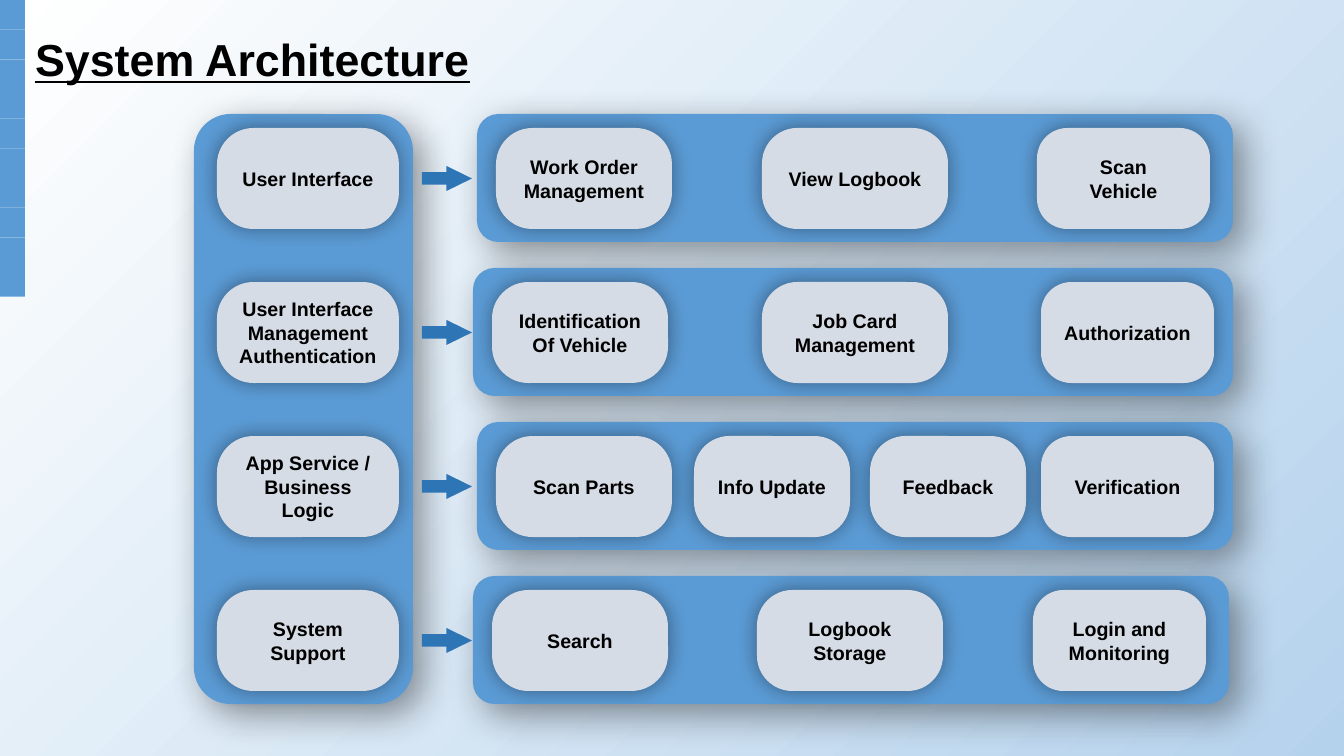
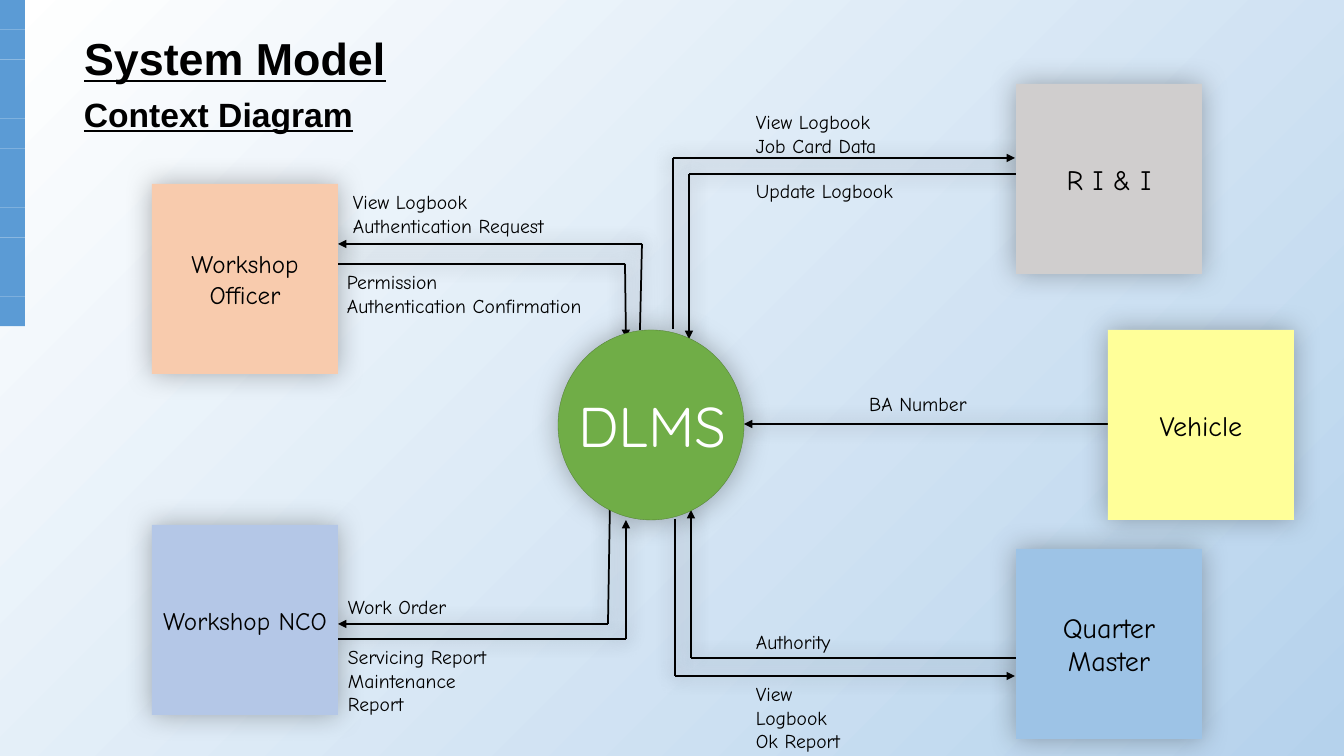
from lxml.etree import SubElement
from pptx import Presentation
from pptx.dml.color import RGBColor
from pptx.enum.shapes import MSO_CONNECTOR, MSO_SHAPE
from pptx.enum.text import MSO_ANCHOR, MSO_AUTO_SIZE, PP_ALIGN
from pptx.oxml.ns import qn
from pptx.util import Emu, Pt

COLORS = {
    "white": "FFFFFF", "black": "000000", "sky": "B5D2EC", "band": "5B9BD5",
    "chip": "D6DCE5", "arrow": "2E75B6", "green": "70AD47", "green edge": "548235",
    "peach": "F8CBAD", "lavender": "B4C7E7", "grey": "D0CECE",
    "yellow": "FFFF99", "blue": "9DC3E6",
}
# opacity in percent, blur and distance in points, direction in degrees
SHADOWS = {
    "panel": (40, 26, 10, 45), "chip": (40, 15, 0, 0),
    "entity": (30, 20, 0, 0), "flow": (50, 13, 0, 0),
}
HEADING = {"font": "Arial", "bold": True, "underline": True}

# layer, panel left, panel width, modules as (label, left)
LAYERS = [
    ("User Interface", 477, 756,
     [("Work Order Management", 496), ("View Logbook", 762), ("Scan\nVehicle", 1037)]),
    ("User Interface Management Authentication", 473, 760,
     [("Identification Of Vehicle", 492), ("Job Card Management", 762),
      ("Authorization", 1041)]),
    ("App Service /\nBusiness Logic", 477, 756,
     [("Scan Parts", 496), ("Info Update", 694), ("Feedback", 870),
      ("Verification", 1041)]),
    ("System Support", 473, 756,
     [("Search", 492), ("Logbook Storage", 757), ("Login and Monitoring", 1033)]),
]
LAYER_TOP, LAYER_STEP, PANEL_HEIGHT = 114, 154, 128
CHIP_HEIGHT, CHIP_OFFSET, ARROW_OFFSET = 101, 14, 52

# name, left, top, colour, text size
ENTITIES = [
    ("Workshop Officer", 152, 184, "peach", 18),
    ("Workshop NCO", 152, 525, "lavender", 18),
    ("R I & I", 1016, 84, "grey", 20),
    ("Vehicle", 1108, 330, "yellow", 20),
    ("Quarter Master", 1016, 549, "blue", 20),
]
ENTITY_SIZE = (186, 190)

# corners of each flow; the arrowhead is at the last one
FLOWS = [
    [(640, 330), (642, 244), (338, 244)],
    [(338, 264), (625, 264), (626, 338)],
    [(610, 502), (608, 624), (338, 624)],
    [(338, 639), (626, 639), (626, 520)],
    [(673, 329), (673, 158), (1015, 158)],
    [(1044, 174), (689, 174), (689, 339)],
    [(675, 519), (675, 676), (1015, 676)],
    [(1044, 658), (691, 658), (691, 510)],
    [(1108, 424), (744, 424)],
]
# text, left, top, width
FLOW_LABELS = [
    ("View Logbook\nAuthentication Request", 343, 185, 235),
    ("Permission\nAuthentication Confirmation", 337, 265, 275),
    ("Work Order", 338, 590, 140),
    ("Servicing Report\nMaintenance\nReport", 338, 640, 188),
    ("View Logbook\nJob Card Data", 746, 105, 160),
    ("Update Logbook", 746, 174, 175),
    ("Authority", 746, 625, 115),
    ("View\nLogbook\nOk Report", 746, 677, 132),
]


def px(length):
    """Turn picture pixels into EMU."""
    return Emu(round(length * 914400 / 100.8))


def rgb(name):
    """Look up a named colour."""
    return RGBColor.from_string(COLORS[name])


def write(shape, text, size=14, font="Comic Neue", color="black", bold=False,
          underline=False, align=PP_ALIGN.LEFT, anchor=MSO_ANCHOR.TOP):
    """Fill a shape with text, one paragraph a line, in one format."""
    frame = shape.text_frame
    frame.text = text
    frame.word_wrap = True
    frame.auto_size = MSO_AUTO_SIZE.NONE
    frame.vertical_anchor = anchor
    for paragraph in frame.paragraphs:
        paragraph.alignment = align
        for run in paragraph.runs:
            run.font.size, run.font.name = Pt(size), font
            run.font.bold, run.font.underline = bold, underline
            run.font.color.rgb = rgb(color)


def cast_shadow(shape, style):
    """Give a shape or connector one of the named outer shadows."""
    opacity, blur, distance, direction = SHADOWS[style]
    properties = shape._element.spPr
    effects = properties.find(qn("a:effectLst"))
    if effects is None:
        effects = SubElement(properties, qn("a:effectLst"))
    outer = SubElement(effects, qn("a:outerShdw"), blurRad=str(Pt(blur)),
                       dist=str(Pt(distance)), dir=str(direction * 60000),
                       algn="ctr", rotWithShape="0")
    tone = SubElement(outer, qn("a:srgbClr"), val=COLORS["black"])
    SubElement(tone, qn("a:alpha"), val=str(opacity * 1000))


def add_block(slide, kind, left, top, width, height, color, shadow=None, adjust=()):
    """Add a filled preset shape without an outline."""
    block = slide.shapes.add_shape(kind, px(left), px(top), px(width), px(height))
    block.fill.solid()
    block.fill.fore_color.rgb = rgb(color)
    block.line.fill.background()
    block.shadow.inherit = False
    for index, value in enumerate(adjust):
        block.adjustments[index] = value
    if shadow:
        cast_shadow(block, shadow)
    return block


def add_label(slide, text, left, top, width, height, **style):
    """Add a text box."""
    label = slide.shapes.add_textbox(px(left), px(top), px(width), px(height))
    write(label, text, **style)


def add_chip(slide, text, left, top, width, roundness):
    """Add a rounded module with a bold centred label."""
    chip = add_block(slide, MSO_SHAPE.ROUNDED_RECTANGLE, left, top, width,
                     CHIP_HEIGHT, "chip", "chip", (roundness,))
    write(chip, text, font="Arial", bold=True, align=PP_ALIGN.CENTER,
          anchor=MSO_ANCHOR.MIDDLE)


def add_flow(slide, corners):
    """Join the corners with lines and end in an arrowhead."""
    for start, end in zip(corners, corners[1:]):
        leg = slide.shapes.add_connector(
            MSO_CONNECTOR.STRAIGHT, *map(px, start), *map(px, end))
        leg.line.width = Pt(1.25)
        leg.line.color.rgb = rgb("black")
        if end == corners[-1]:
            outline = leg._element.spPr.find(qn("a:ln"))
            SubElement(outline, qn("a:tailEnd"), type="triangle")
        cast_shadow(leg, "flow")


def start_slide(deck, title, left, top, width, height, bands):
    """Add a slide with its title and the stacked bands on the left edge."""
    slide = deck.slides.add_slide(deck.slide_layouts[5])
    heading = slide.shapes.title
    heading.left, heading.top = px(left), px(top)
    heading.width, heading.height = px(width), px(height)
    write(heading, title, size=32, anchor=MSO_ANCHOR.BOTTOM, **HEADING)
    step = 29.66
    for index in range(bands):
        add_block(slide, MSO_SHAPE.RECTANGLE, 0, index * step, 25, step, "band")
    return slide


def build_architecture(deck):
    """Build the layer column and its module panels."""
    slide = start_slide(deck, "System Architecture", 25, 0, 509, 91, bands=10)
    rounded = MSO_SHAPE.ROUNDED_RECTANGLE
    column_height = LAYER_STEP * (len(LAYERS) - 1) + PANEL_HEIGHT
    tops = [LAYER_TOP + row * LAYER_STEP for row in range(len(LAYERS))]
    for top, (_, left, width, _) in zip(tops, LAYERS):
        add_block(slide, rounded, left, top, width, PANEL_HEIGHT, "band", "panel")
    add_block(slide, rounded, 194, LAYER_TOP, 219, column_height, "band", "panel")
    for top, (layer, _, _, modules) in zip(tops, LAYERS):
        chip_top = top + CHIP_OFFSET
        add_chip(slide, layer, 217, chip_top, 182, 0.36)
        add_block(slide, MSO_SHAPE.RIGHT_ARROW, 422, top + ARROW_OFFSET, 50, 25,
                  "arrow", adjust=(0.5, 1.02))
        middle = (186 if len(modules) == 3 else 156, 0.35)
        sizes = [(176, 0.36)] + [middle] * (len(modules) - 2) + [(173, 0.3)]
        for (module, left), (width, roundness) in zip(modules, sizes):
            add_chip(slide, module, left, chip_top, width, roundness)


def build_context(deck):
    """Build the context diagram around the central system."""
    slide = start_slide(deck, "System Model", 74, 5, 327, 85, bands=11)
    add_label(slide, "Context Diagram", 74, 89, 305, 50, size=24, **HEADING)
    for corners in FLOWS:
        add_flow(slide, corners)
    system = add_block(slide, MSO_SHAPE.OVAL, 558, 330, *ENTITY_SIZE, "green", "entity")
    system.line.color.rgb = rgb("green edge")
    system.line.width = Pt(0.25)
    add_label(slide, "DLMS", 557, 387, 190, 78, size=40, font="Quicksand",
              color="white", align=PP_ALIGN.CENTER)
    for name, left, top, color, size in ENTITIES:
        entity = add_block(slide, MSO_SHAPE.RECTANGLE, left, top, *ENTITY_SIZE,
                           color, "entity")
        write(entity, name, size=size, align=PP_ALIGN.CENTER, anchor=MSO_ANCHOR.MIDDLE)
    for text, left, top, width in FLOW_LABELS:
        add_label(slide, text, left, top, width, 8 + 24 * (text.count("\n") + 1))
    add_label(slide, "BA Number", 847, 387, 142, 32, align=PP_ALIGN.CENTER)


def main():
    """Set up the deck and its shared background, then build both slides."""
    deck = Presentation()
    deck.slide_width, deck.slide_height = px(1344), px(756)
    backdrop = deck.slide_master.background.fill
    backdrop.gradient()
    backdrop.gradient_angle = 315
    for stop, name in zip(backdrop.gradient_stops, ("white", "sky")):
        stop.color.rgb = rgb(name)
    build_architecture(deck)
    build_context(deck)
    deck.save("out.pptx")


main()
